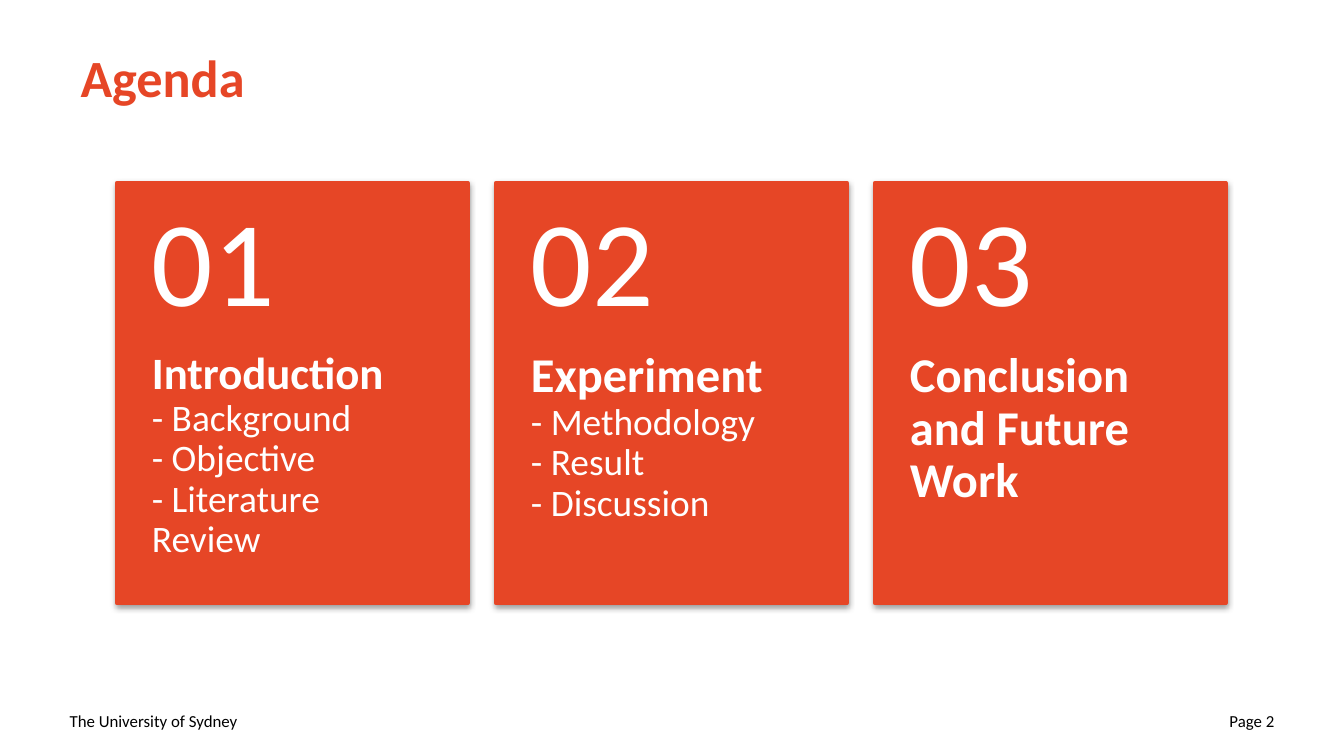
from lxml import etree
from pptx import Presentation
from pptx.dml.color import RGBColor
from pptx.enum.shapes import MSO_SHAPE
from pptx.enum.text import MSO_ANCHOR, PP_ALIGN
from pptx.oxml.ns import qn
from pptx.util import Inches, Pt

RECT = MSO_SHAPE.RECTANGLE
TOP, MIDDLE = MSO_ANCHOR.TOP, MSO_ANCHOR.MIDDLE
LEFT, RIGHT = PP_ALIGN.LEFT, PP_ALIGN.RIGHT
RED, WHITE, BLACK = "E64626", "FFFFFF", "000000"

CARDS = [
    ("01", "Introduction", 24,
     ["- Background", "- Objective", "- Literature Review"]),
    ("02", "Experiment", 26,
     ["- Methodology", "- Result", "- Discussion"]),
    ("03", "Conclusion and Future Work", 26, []),
]


def color(code):
    return RGBColor.from_string(code)


def add_run(para, text, size, code, bold=False):
    run = para.add_run()
    run.text = text
    form = {"name": "Calibri", "size": Pt(size), "bold": bold}
    for key, value in form.items():
        setattr(run.font, key, value)
    run.font.color.rgb = color(code)


def add_text(shapes, box, anchor=MIDDLE, inset=(0.1, 0.05, 0.1, 0.05)):
    """Add a wrapping text box and return its first paragraph."""
    frame = shapes.add_textbox(*map(Inches, box)).text_frame
    left, top, right, bottom = map(Inches, inset)
    form = {"word_wrap": True, "vertical_anchor": anchor,
            "margin_left": left, "margin_top": top,
            "margin_right": right, "margin_bottom": bottom}
    for key, value in form.items():
        setattr(frame, key, value)
    return frame.paragraphs[0]


def add_shadow(shape):
    """Give the shape a soft shadow that falls straight down."""
    shape.shadow.inherit = False
    effects = shape._element.spPr.find(qn("a:effectLst"))
    outer = etree.SubElement(effects, qn("a:outerShdw"), {
        "blurRad": str(Pt(3.1)), "dist": str(Pt(1.6)),
        "dir": "5400000", "rotWithShape": "0"})
    tone = etree.SubElement(outer, qn("a:srgbClr"), val=BLACK)
    etree.SubElement(tone, qn("a:alpha"), val="38000")


def add_title(slide, box, text):
    title = slide.shapes.title
    title.left, title.top, title.width, title.height = map(Inches, box)
    title.text_frame.vertical_anchor = MIDDLE
    para = title.text_frame.paragraphs[0]
    para.alignment = LEFT
    add_run(para, text, 28, RED, True)


def add_card(slide, box, number, head, size, items):
    left, top, width, height = box
    split = height * 0.4
    shapes = slide.shapes.add_group_shape().shapes

    panel = shapes.add_shape(RECT, *map(Inches, box))
    panel.fill.solid()
    panel.fill.fore_color.rgb = color(RED)
    panel.line.color.rgb = color(RED)
    panel.line.width = Pt(2)
    add_shadow(panel)

    body = add_text(shapes, (left, top + split, width, height - split),
                    TOP, (0.26, 0, 0.26, 0.36))
    body.line_spacing = 0.9
    add_run(body, head, size, WHITE, True)
    for item in items:
        body.add_line_break()
        add_run(body, item, 20, WHITE)

    label = add_text(shapes, (left, top, width, split),
                     MIDDLE, (0.26, 0.18, 0.26, 0.18))
    label.line_spacing = 0.9
    add_run(label, number, 65, WHITE)


def add_cards(slide, box, gap):
    """Share the box out among the cards in equal columns."""
    left, top, width, height = box
    step = (width + gap) / len(CARDS)
    for i, card in enumerate(CARDS):
        add_card(slide, (left + i * step, top, step - gap, height), *card)


def add_footer(slide, box):
    left, top, width, height = box
    part = 2.33
    for x, text, align in (
            (left, "The University of Sydney", LEFT),
            (left + width - part, "Page 2", RIGHT)):
        para = add_text(slide.shapes, (x, top, part, height))
        para.alignment = align
        add_run(para, text, 9, BLACK)


def main():
    deck = Presentation()
    deck.slide_width = Inches(10)
    deck.slide_height = deck.slide_width * 9 // 16
    slide = deck.slides.add_slide(deck.slide_layouts[5])
    add_footer(slide, (0.42, 5.21, 9.16, 0.3))
    add_title(slide, (0.5, 0.1, 9, 0.94), "Agenda")
    add_cards(slide, (0.87, 1.36, 8.25, 3.13), 0.21)
    deck.save("out.pptx")


if __name__ == "__main__":
    main()
